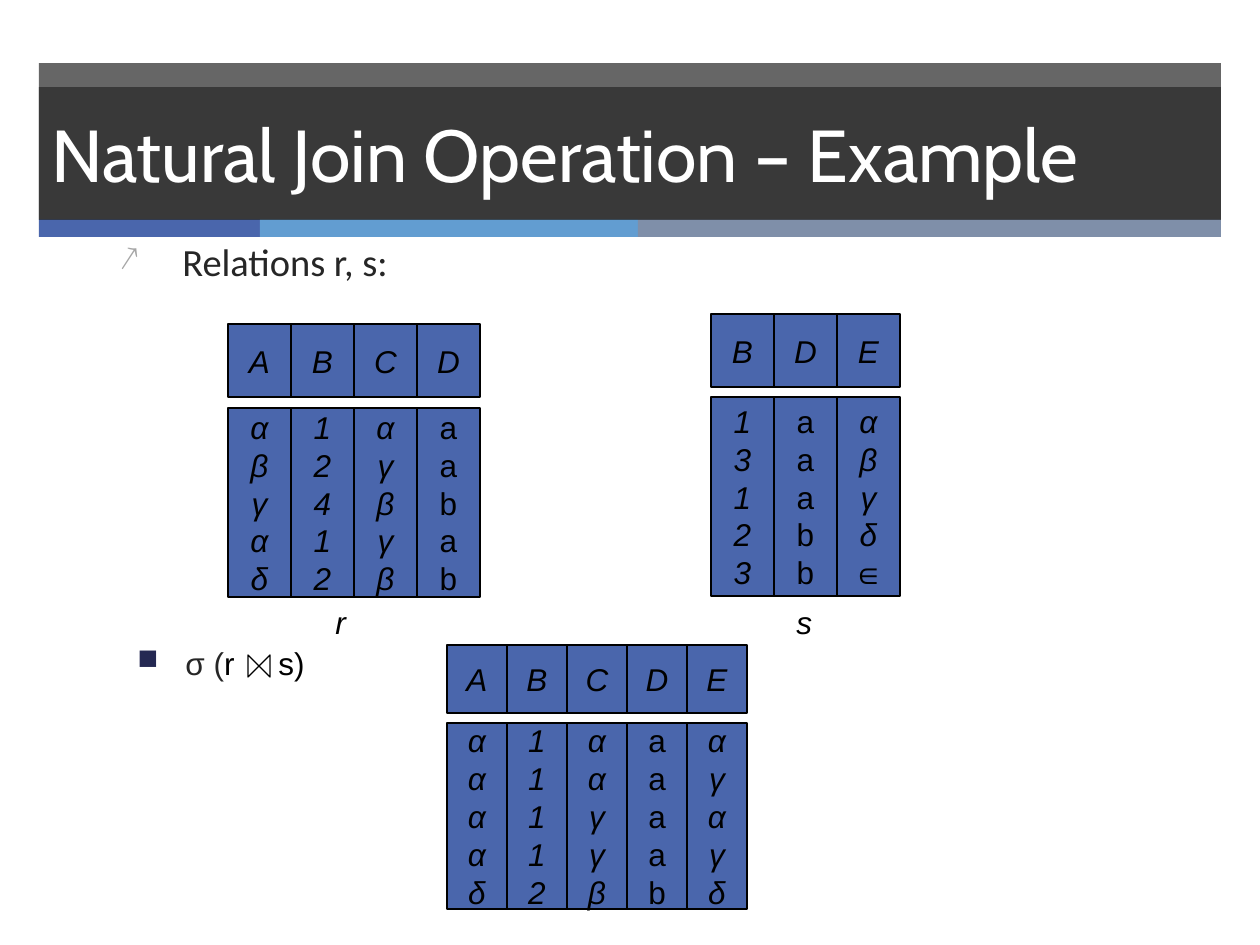
"""Build the slide on the natural join of two relations."""
import dataclasses
import typing

import lxml.etree
import pptx
import pptx.dml.color
import pptx.enum.shapes
import pptx.enum.text
import pptx.oxml.ns
import pptx.util

SCALE = 914400 / 126
KIND = pptx.enum.shapes.MSO_SHAPE
ALIGN = pptx.enum.text.PP_ALIGN
MID = pptx.enum.text.MSO_ANCHOR.MIDDLE


@dataclasses.dataclass(frozen=True)
class Theme:
    """Hold the colours, fonts and type sizes."""

    dark: str = "262626"
    blue: str = "4A66AC"
    sky: str = "629DD1"
    slate: str = "7F8FA9"
    navy: str = "242852"
    grey: str = "A6A6A6"
    black: str = "000000"
    white: str = "FFFFFF"
    head: str = "Cabin"
    body: str = "Calibri"
    cell: str = "Arial"
    big: float = 42
    mid: float = 22
    small: float = 18
    line: float = 0.74


class Box(typing.NamedTuple):
    """Give a place in pixels."""

    left: int
    top: int
    width: int
    height: int


class Bar(typing.NamedTuple):
    """Describe a plain band."""

    box: Box
    fill: str
    alpha: int


class Bullet(typing.NamedTuple):
    """Describe a list mark and its hanging indent in pixels."""

    sign: str
    color: str
    indent: int


class Table(typing.NamedTuple):
    """Describe a relation: names in a head row, values by column."""

    left: int
    pitch: int
    head: tuple[int, int]
    body: tuple[int, int]
    names: str
    values: tuple[str, ...]


THEME = Theme()
BARS = (
    Bar(Box(39, 63, 1182, 156), THEME.dark, 70),
    Bar(Box(39, 219, 221, 18), THEME.blue, 100),
    Bar(Box(260, 219, 378, 18), THEME.sky, 100),
    Bar(Box(638, 219, 583, 18), THEME.slate, 100),
)
TITLE = Bar(Box(39, 87, 1182, 133), THEME.dark, 70)
TABLES = (
    Table(228, 63, (324, 73), (408, 189), "ABCD",
          ("αβγαδ", "12412", "αγβγβ", "aabab")),
    Table(711, 63, (314, 73), (397, 199), "BDE",
          ("13123", "aaabb", "αβγδ∈")),
    Table(447, 60, (645, 68), (723, 186), "ABCDE",
          ("ααααδ", "11112", "ααγγβ", "aaaab", "αγαγδ")),
)
LABELS = (("r", Box(323, 597, 35, 50)), ("s", Box(784, 597, 40, 50)))


def px(size: float) -> pptx.util.Emu:
    """Turn pixels into EMU."""
    return pptx.util.Emu(round(size * SCALE))


def tint(code: str) -> pptx.dml.color.RGBColor:
    """Turn a hex code into a colour."""
    return pptx.dml.color.RGBColor.from_string(code)


def child(node, tag: str, **attrs: str):
    """Add an XML child."""
    return lxml.etree.SubElement(node, pptx.oxml.ns.qn(tag), **attrs)


def shape(slide, box: Box, fill: str = "", line: str = "",
          kind=KIND.RECTANGLE):
    """Add a preset shape with an optional fill and line."""
    item = slide.shapes.add_shape(kind, *map(px, box))
    item.shadow.inherit = False
    if fill:
        item.fill.solid()
        item.fill.fore_color.rgb = tint(fill)
    else:
        item.fill.background()
    if line:
        item.line.color.rgb = tint(line)
        item.line.width = pptx.util.Pt(THEME.line)
    else:
        item.line.fill.background()
    return item


def band(slide, bar: Bar):
    """Add a band, see-through where its alpha says so."""
    item = shape(slide, bar.box, bar.fill)
    if bar.alpha < 100:
        color = item.fill._xPr.find(".//" + pptx.oxml.ns.qn("a:srgbClr"))
        child(color, "a:alpha", val=str(bar.alpha * 1000))
    return item


def write(par, text: str, font: str, size: float, color: str,
          slant: bool = False):
    """Add one run of text."""
    run = par.add_run()
    run.text = text
    run.font.name = font
    run.font.size = pptx.util.Pt(size)
    run.font.color.rgb = tint(color)
    run.font.italic = slant
    return run


def stack(frame, lines: str, slant: bool) -> None:
    """Write centred lines of one sign each."""
    frame.word_wrap = False
    frame.vertical_anchor = MID
    for rank, sign in enumerate(lines):
        par = frame.add_paragraph() if rank else frame.paragraphs[0]
        par.alignment = ALIGN.CENTER
        write(par, sign, THEME.cell, THEME.small, THEME.black, slant)


def table(slide, data: Table) -> None:
    """Draw a relation as a row of head and body cells."""
    for rank, (name, lines) in enumerate(zip(data.names, data.values)):
        left = data.left + rank * data.pitch
        for (top, height), text in ((data.head, name), (data.body, lines)):
            box = Box(left, top, data.pitch, height)
            cell = shape(slide, box, THEME.blue, THEME.black)
            stack(cell.text_frame, text, text[0] not in "ab")


def point(slide, box: Box, mark: Bullet, before: float, space: float):
    """Add a text box with one bullet and return its paragraph."""
    frame = slide.shapes.add_textbox(*map(px, box)).text_frame
    frame.word_wrap = True
    par = frame.paragraphs[0]
    par.space_before = pptx.util.Pt(before)
    par.line_spacing = space
    props = par._p.get_or_add_pPr()
    props.set("marL", str(px(mark.indent)))
    props.set("indent", str(-px(mark.indent)))
    child(child(props, "a:buClr"), "a:srgbClr", val=mark.color)
    child(props, "a:buSzPct", val="90000")
    child(props, "a:buChar", char=mark.sign)
    return par


def main() -> None:
    """Build and save the slide."""
    deck = pptx.Presentation()
    deck.slide_width, deck.slide_height = px(1260), px(945)
    slide = deck.slides.add_slide(deck.slide_layouts[6])
    for bar in BARS:
        band(slide, bar)
    frame = band(slide, TITLE).text_frame
    frame.word_wrap = True
    frame.vertical_anchor = MID
    frame.paragraphs[0].alignment = ALIGN.LEFT
    write(frame.paragraphs[0], "Natural Join Operation – Example",
          THEME.head, THEME.big, THEME.white)
    par = point(slide, Box(107, 241, 942, 53),
                Bullet("↗", THEME.grey, 63), 20, 0.8)
    write(par, "Relations r, s:", THEME.body, THEME.mid, THEME.dark)
    for data in TABLES:
        table(slide, data)
    for text, box in LABELS:
        frame = slide.shapes.add_textbox(*map(px, box)).text_frame
        stack(frame, text, True)
        frame.paragraphs[0].space_before = pptx.util.Pt(11.2)
    par = point(slide, Box(125, 638, 969, 57),
                Bullet("■", THEME.navy, 48), 7.9, 1.0)
    write(par, "σ (", THEME.cell, THEME.small, THEME.dark)
    write(par, "r", THEME.cell, THEME.small, THEME.black)
    gap = write(par, " ", THEME.cell, THEME.small, THEME.black)
    gap.font._rPr.set("spc", "2000")
    write(par, "s)", THEME.cell, THEME.small, THEME.black)
    join = shape(slide, Box(248, 655, 22, 22), "", THEME.black,
                 KIND.FLOWCHART_COLLATE)
    join.rotation = 270
    deck.save("out.pptx")


main()
